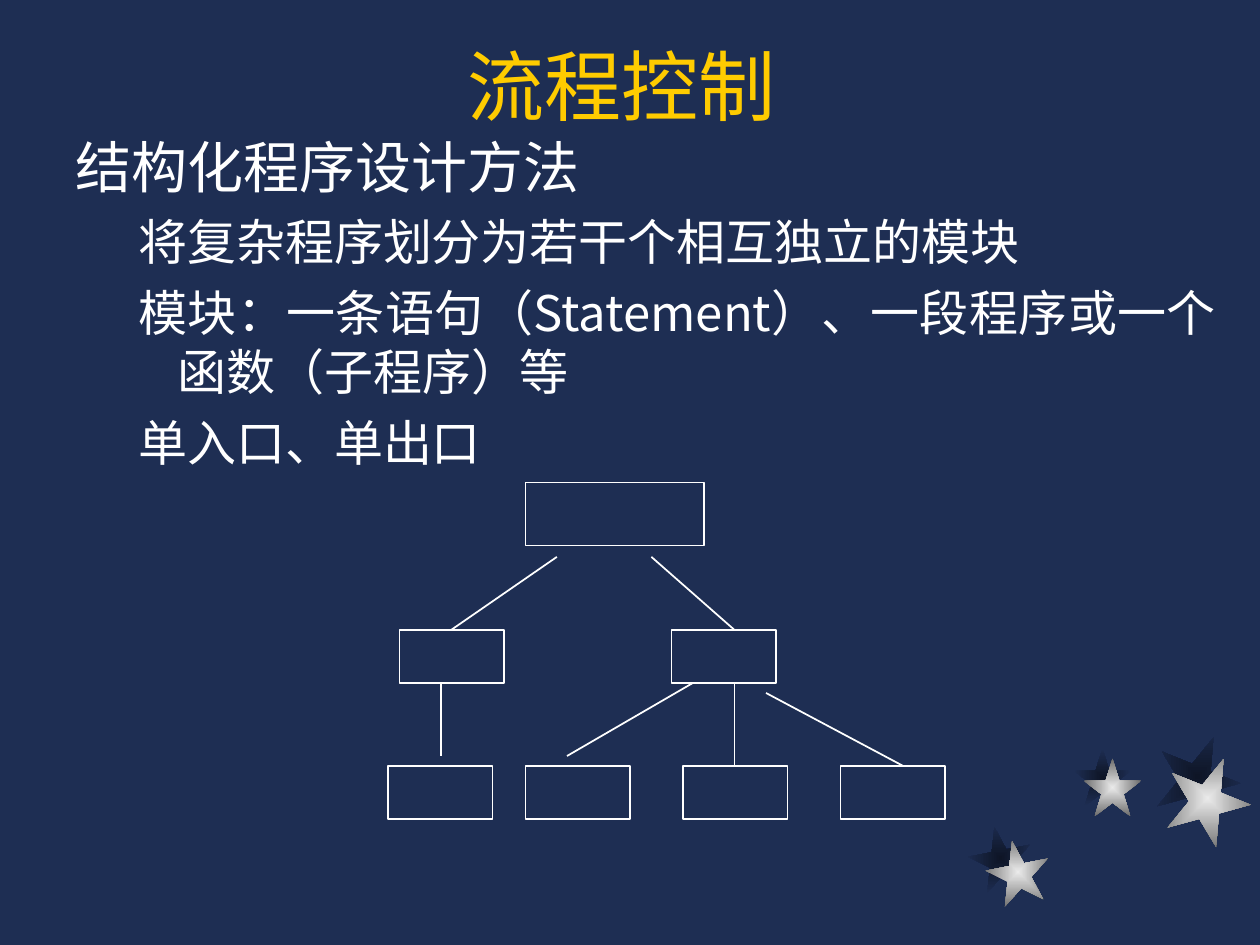
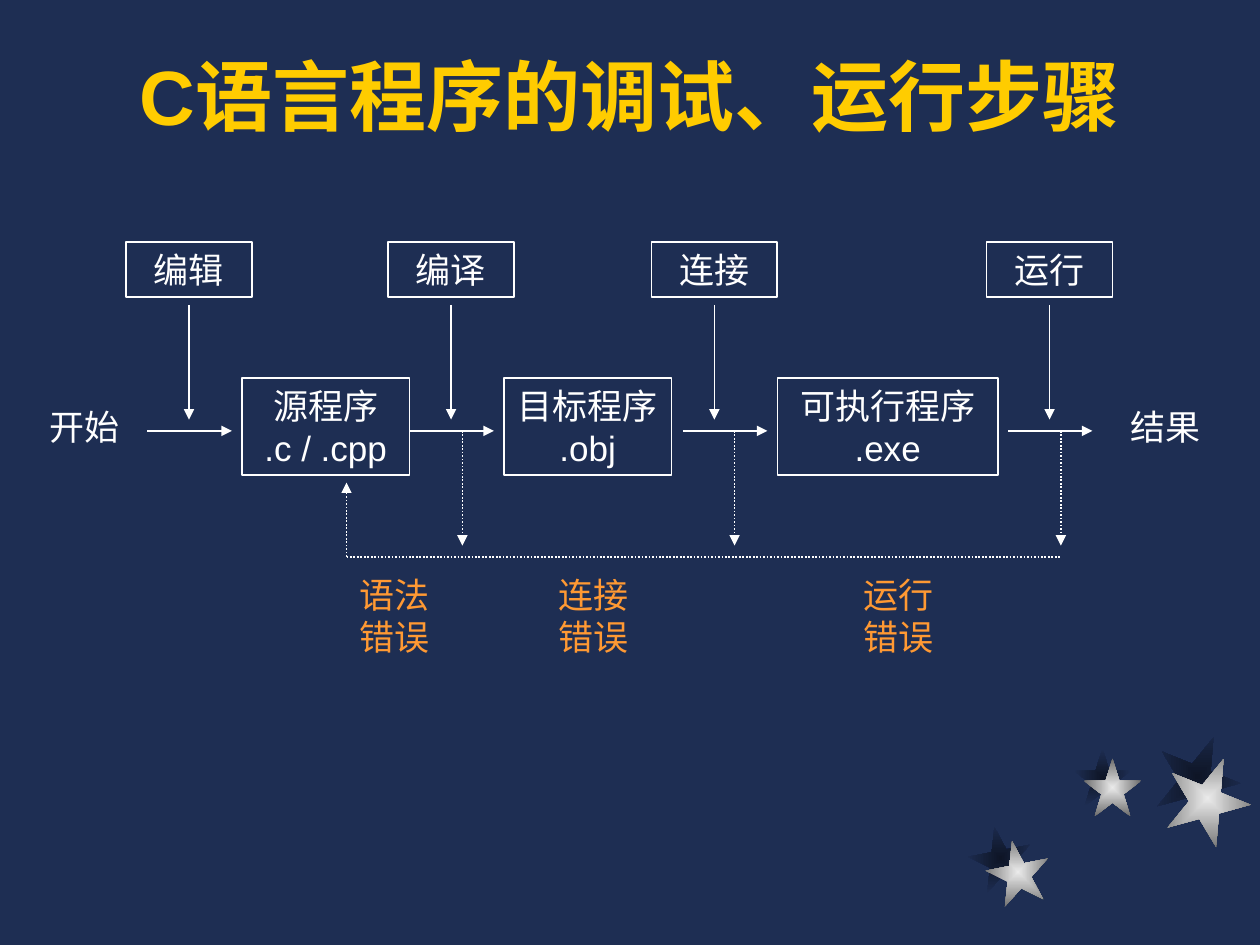
from lxml import etree
from pptx import Presentation
from pptx.dml.color import RGBColor
from pptx.enum.dml import MSO_LINE
from pptx.enum.shapes import MSO_CONNECTOR, MSO_SHAPE
from pptx.enum.text import MSO_ANCHOR, PP_ALIGN
from pptx.oxml.ns import qn
from pptx.util import Inches, Pt

RECTANGLE, STAR = MSO_SHAPE.RECTANGLE, MSO_SHAPE.STAR_5_POINT
STRAIGHT = MSO_CONNECTOR.STRAIGHT
DOTTED = MSO_LINE.ROUND_DOT
CENTER, JUSTIFY = PP_ALIGN.CENTER, PP_ALIGN.JUSTIFY
TOP, BOTTOM = MSO_ANCHOR.TOP, MSO_ANCHOR.BOTTOM

CHINESE_FONT, LATIN_FONT = "Noto Sans CJK SC", "Arial"
COLOURS = {
    "background": "1E2E53", "shade": "0E1526",
    "star_light": "EAEAEA", "star_dark": "6C6C6C",
    "title": "FFCC00", "white": "FFFFFF", "error": "FF9933",
}
COLOURS = {name: RGBColor.from_string(value) for name, value in COLOURS.items()}


def style_paragraph(paragraph, size, colour, font=LATIN_FONT, bold=False, align=CENTER):
    paragraph.alignment = align
    for run in paragraph.runs:
        run.font.size = Pt(size)
        run.font.bold = bold
        run.font.name = font
        run.font.color.rgb = COLOURS[colour]
        east_asian = etree.SubElement(run.font._element, qn("a:ea"))
        east_asian.set("typeface", CHINESE_FONT)


def draw_line(slide, x1, y1, x2, y2, arrow=False, dotted=False):
    connector = slide.shapes.add_connector(
        STRAIGHT, Inches(x1), Inches(y1), Inches(x2), Inches(y2))
    connector.line.color.rgb = COLOURS["white"]
    connector.line.width = Pt(1)
    if dotted:
        connector.line.dash_style = DOTTED
    if arrow:
        etree.SubElement(connector.line._get_or_add_ln(), qn("a:tailEnd"), type="triangle")
    etree.SubElement(connector.element.spPr, qn("a:effectLst"))


presentation = Presentation()
presentation.slide_width, presentation.slide_height = Inches(10), Inches(7.5)
layout = presentation.slide_layouts[5]
background = presentation.slide_master.background.fill
background.solid()
background.fore_color.rgb = COLOURS["background"]

control_slide = presentation.slides.add_slide(layout)
steps_slide = presentation.slides.add_slide(layout)

# Shared stars: shades first, then bright stars, moved behind everything on the layout
star_sets = [
    ("shade", "background", [(7.69, 6.56, 0.5, -11), (8.52, 5.94, 0.46, 0), (9.17, 5.83, 0.67, 22)]),
    ("star_light", "star_dark", [(7.83, 6.67, 0.5, -11), (8.6, 6.02, 0.46, 0), (9.25, 6, 0.67, 22)]),
]
layer = 2
for inner, outer, stars in star_sets:
    for left, top, size, rotation in stars:
        star = control_slide.shapes.add_shape(
            STAR, Inches(left), Inches(top), Inches(size), Inches(size))
        star.rotation = rotation
        star.shadow.inherit = False
        star.line.fill.background()
        star.fill.gradient()
        for stop, colour, position in zip(star.fill.gradient_stops, (inner, outer), (0, 1)):
            stop.color.rgb = COLOURS[colour]
            stop.position = position
        gradient = star.element.spPr.find(qn("a:gradFill"))
        gradient.remove(gradient.find(qn("a:lin")))
        centre = etree.SubElement(gradient, qn("a:path"), path="rect")
        etree.SubElement(centre, qn("a:fillToRect"), l="50000", t="50000", r="50000", b="50000")
        layout.shapes.element.insert(layer, star.element)
        layer += 1

# Titles
for slide, text, top, font, bold in [
    (control_slide, "流程控制 ", 0.17, CHINESE_FONT, False),
    (steps_slide, "C语言程序的调试、运行步骤", 0.25, LATIN_FONT, True),
]:
    title = slide.shapes.title
    title.left, title.top = Inches(0.75), Inches(top)
    title.width, title.height = Inches(8.5), Inches(0.92)
    title.text_frame.text = text
    title.text_frame.vertical_anchor = BOTTOM
    style_paragraph(title.text_frame.paragraphs[0], 44, "title", font, bold)

# Structured programming: heading and its points
body = control_slide.shapes.add_textbox(Inches(0.5), Inches(1), Inches(9.25), Inches(2.92))
body.text_frame.word_wrap = True
body.text_frame.text = "\n".join([
    "结构化程序设计方法",
    "将复杂程序划分为若干个相互独立的模块",
    "模块：一条语句（Statement）、一段程序或一个函数（子程序）等",
    "单入口、单出口",
])
for index, paragraph in enumerate(body.text_frame.paragraphs):
    size, space, margin, indent = (28, 7, 0.81, -0.31) if index else (32, 8, 0.38, -0.38)
    style_paragraph(paragraph, size, "white", CHINESE_FONT, align=JUSTIFY)
    paragraph.level = 1 if index else 0
    paragraph.space_before = Pt(space)
    properties = paragraph._p.get_or_add_pPr()
    properties.set("marL", str(Inches(margin)))
    properties.set("indent", str(Inches(indent)))

# Boxes: the module tree, then the steps and the files they make
boxes = [(control_slide, 4.17, 3.83, 1.42, 0.5, "")]
boxes += [(control_slide, left, 5, 0.83, 0.42, "") for left in (3.17, 5.33)]
boxes += [(control_slide, left, 6.08, 0.83, 0.42, "") for left in (3.08, 4.17, 5.42, 6.67)]
steps = [(1, "编辑"), (3.08, "编译"), (5.17, "连接"), (7.83, "运行")]
boxes += [(steps_slide, left, 1.92, 1, 0.44, step) for left, step in steps]
files = [(1.92, 1.33, "源程序\n.c / .cpp"), (4, 1.33, "目标程序\n.obj"), (6.17, 1.75, "可执行程序\n.exe")]
boxes += [(steps_slide, left, 3, width, 0.77, name) for left, width, name in files]
for slide, left, top, width, height, text in boxes:
    box = slide.shapes.add_shape(
        RECTANGLE, Inches(left), Inches(top), Inches(width), Inches(height))
    box.shadow.inherit = False
    box.fill.background()
    box.line.color.rgb = COLOURS["white"]
    box.line.width = Pt(1)
    if text:
        box.text_frame.text = text
        box.text_frame.vertical_anchor = TOP
        for paragraph in box.text_frame.paragraphs:
            style_paragraph(paragraph, 20, "white")

# Branches of the module tree
for branch in [
    (4.42, 4.42, 3.58, 5), (5.17, 4.42, 5.83, 5), (3.5, 5.42, 3.5, 6),
    (5.83, 5.42, 5.83, 6.08), (5.5, 5.42, 4.5, 6), (6.08, 5.5, 7.17, 6.08),
]:
    draw_line(control_slide, *branch)

# Start, result and error labels
labels = [(left, 3.17, 1, 0.44, text, "white") for left, text in [(0.17, "开始"), (8.75, "结果")]]
labels += [(left, 4.5, 0.92, 0.77, kind + "\n错误", "error")
           for left, kind in [(2.67, "语法"), (4.25, "连接"), (6.67, "运行")]]
for left, top, width, height, text, colour in labels:
    label = steps_slide.shapes.add_textbox(
        Inches(left), Inches(top), Inches(width), Inches(height))
    label.text_frame.word_wrap = True
    label.text_frame.text = text
    for paragraph in label.text_frame.paragraphs:
        style_paragraph(paragraph, 20, colour)

# Flow arrows, and the arrow down from each step
flow_y, return_y = 3.42, 4.42
for left in (1.17, 3.25, 5.42, 8):
    draw_line(steps_slide, left, flow_y, left + 0.67, flow_y, arrow=True)
for left, step in steps:
    draw_line(steps_slide, left + 0.5, 2.42, left + 0.5, 3.33, arrow=True)

# Dotted way back from the errors to the source program
for x in (3.67, 5.83, 8.42):
    draw_line(steps_slide, x, flow_y, x, 4.33, arrow=True, dotted=True)
draw_line(steps_slide, 2.75, return_y, 8.42, return_y, dotted=True)
draw_line(steps_slide, 2.75, return_y, 2.75, 3.83, arrow=True, dotted=True)

presentation.save("out.pptx")
